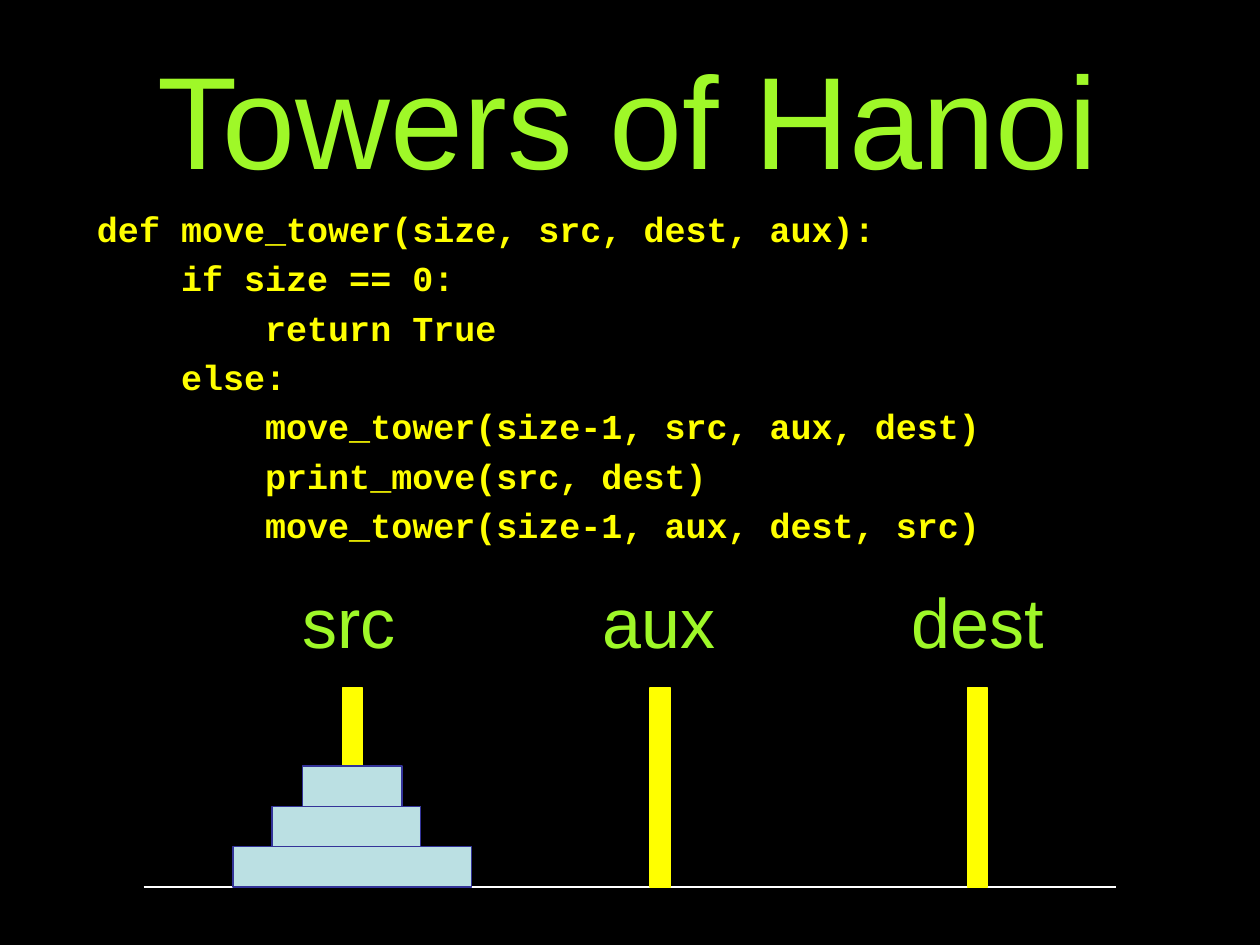
"""Build the Towers of Hanoi slide with its code and peg diagram."""

from dataclasses import dataclass

from lxml.etree import SubElement
from pptx import Presentation
from pptx.dml.color import RGBColor
from pptx.enum.shapes import MSO_CONNECTOR, MSO_SHAPE
from pptx.enum.text import MSO_ANCHOR, MSO_AUTO_SIZE, PP_ALIGN
from pptx.oxml.ns import qn
from pptx.slide import Slide
from pptx.util import Inches, Pt


@dataclass(frozen=True)
class Theme:
    background: RGBColor = RGBColor(0x00, 0x00, 0x00)
    heading: RGBColor = RGBColor(0x9F, 0xF8, 0x28)
    code: RGBColor = RGBColor(0xFF, 0xFF, 0x00)
    peg: RGBColor = RGBColor(0xFF, 0xFF, 0x00)
    disk: RGBColor = RGBColor(0xBB, 0xE0, 0xE3)
    disk_line: RGBColor = RGBColor(0x33, 0x33, 0x99)
    ground: RGBColor = RGBColor(0xFF, 0xFF, 0xFF)
    heading_font: str = "Arial"
    code_font: str = "Courier New"
    title_size: float = 75
    label_size: float = 40
    code_size: float = 20
    line_width: float = 0.75


@dataclass(frozen=True)
class Box:
    left: float
    top: float
    width: float
    height: float

    def lengths(self) -> tuple:
        return tuple(Inches(value) for value in (self.left, self.top, self.width, self.height))


@dataclass(frozen=True)
class Peg:
    name: str
    center: float
    label_center: float
    label_width: float


@dataclass(frozen=True)
class Disk:
    left: float
    width: float


THEME = Theme()
GROUND = 7.04
PEG_WIDTH, PEG_HEIGHT = 0.16, 1.58
DISK_HEIGHT = 0.32
DISKS = (Disk(1.85, 1.89), Disk(2.16, 1.18), Disk(2.4, 0.79))
PEGS = (
    Peg("src", 2.8, 2.77, 0.96),
    Peg("aux", 5.24, 5.23, 1.15),
    Peg("dest", 7.76, 7.76, 1.29),
)
CODE = """def move_tower(size, src, dest, aux):
    if size == 0:
        return True
    else:
        move_tower(size-1, src, aux, dest)
        print_move(src, dest)
        move_tower(size-1, aux, dest, src)"""


def add_text(slide: Slide, text: str, box: Box, *, size: float, color: RGBColor,
             font: str = THEME.heading_font, bold: bool = False,
             align: PP_ALIGN = PP_ALIGN.CENTER, anchor: MSO_ANCHOR = MSO_ANCHOR.TOP,
             margins: tuple = (0.1, 0.05, 0.1, 0.05), wrap: bool = True,
             auto_size: MSO_AUTO_SIZE = MSO_AUTO_SIZE.NONE,
             line_spacing: float = 1.0, space_before: float = 0,
             indent: tuple = (0, 0)) -> None:
    frame = slide.shapes.add_textbox(*box.lengths()).text_frame
    frame.word_wrap = wrap
    frame.auto_size = auto_size
    frame.vertical_anchor = anchor
    frame.margin_left, frame.margin_top, frame.margin_right, frame.margin_bottom = map(Inches, margins)
    frame.text = text
    for index, paragraph in enumerate(frame.paragraphs):
        properties = paragraph._p.get_or_add_pPr()
        properties.set("marL", str(Inches(indent[0])))
        properties.set("indent", str(Inches(indent[1])))
        paragraph.alignment = align
        paragraph.line_spacing = line_spacing
        paragraph.space_before = Pt(space_before if index else 0)
        for run in paragraph.runs:
            run.font.name = font
            run.font.size = Pt(size)
            run.font.bold = bold
            run.font.color.rgb = color


def add_block(slide: Slide, box: Box, fill: RGBColor, line: RGBColor) -> None:
    shape = slide.shapes.add_shape(MSO_SHAPE.RECTANGLE, *box.lengths())
    shape.shadow.inherit = False
    shape.fill.solid()
    shape.fill.fore_color.rgb = fill
    shape.line.color.rgb = line
    shape.line.width = Pt(THEME.line_width)


def add_peg(slide: Slide, peg: Peg) -> None:
    box = Box(peg.center - PEG_WIDTH / 2, GROUND - PEG_HEIGHT, PEG_WIDTH, PEG_HEIGHT)
    add_block(slide, box, THEME.peg, THEME.peg)


def add_ground(slide: Slide, left: float, right: float) -> None:
    line = slide.shapes.add_connector(
        MSO_CONNECTOR.STRAIGHT, Inches(left), Inches(GROUND), Inches(right), Inches(GROUND))
    line.line.color.rgb = THEME.ground
    line.line.width = Pt(THEME.line_width)
    SubElement(line._element.spPr, qn("a:effectLst"))


def add_disks(slide: Slide) -> None:
    for level, disk in enumerate(DISKS, start=1):
        box = Box(disk.left, GROUND - level * DISK_HEIGHT, disk.width, DISK_HEIGHT)
        add_block(slide, box, THEME.disk, THEME.disk_line)


def main() -> None:
    presentation = Presentation()
    presentation.slide_width, presentation.slide_height = Inches(10), Inches(7.5)
    slide = presentation.slides.add_slide(presentation.slide_layouts[6])
    slide.background.fill.solid()
    slide.background.fill.fore_color.rgb = THEME.background

    wide_margins = (0.06, 0.06, 0.1, 0.06)
    add_text(slide, "Towers of Hanoi", Box(0.5, 0.07, 9, 1.71), size=THEME.title_size,
             color=THEME.heading, anchor=MSO_ANCHOR.MIDDLE, margins=wide_margins,
             indent=(0.04, -0.04))
    add_text(slide, CODE, Box(0.67, 1.65, 9, 5.09), size=THEME.code_size, color=THEME.code,
             font=THEME.code_font, bold=True, align=PP_ALIGN.LEFT, margins=wide_margins,
             line_spacing=0.8, space_before=9, indent=(0.42, -0.38))

    source, *others = PEGS
    add_peg(slide, source)
    add_ground(slide, 1.14, 8.86)
    add_disks(slide)
    for peg in others:
        add_peg(slide, peg)
    for peg in PEGS:
        box = Box(peg.label_center - peg.label_width / 2, 4.54, peg.label_width, 0.77)
        add_text(slide, peg.name, box, size=THEME.label_size, color=THEME.heading,
                 wrap=False, auto_size=MSO_AUTO_SIZE.SHAPE_TO_FIT_TEXT)

    presentation.save("out.pptx")


if __name__ == "__main__":
    main()
